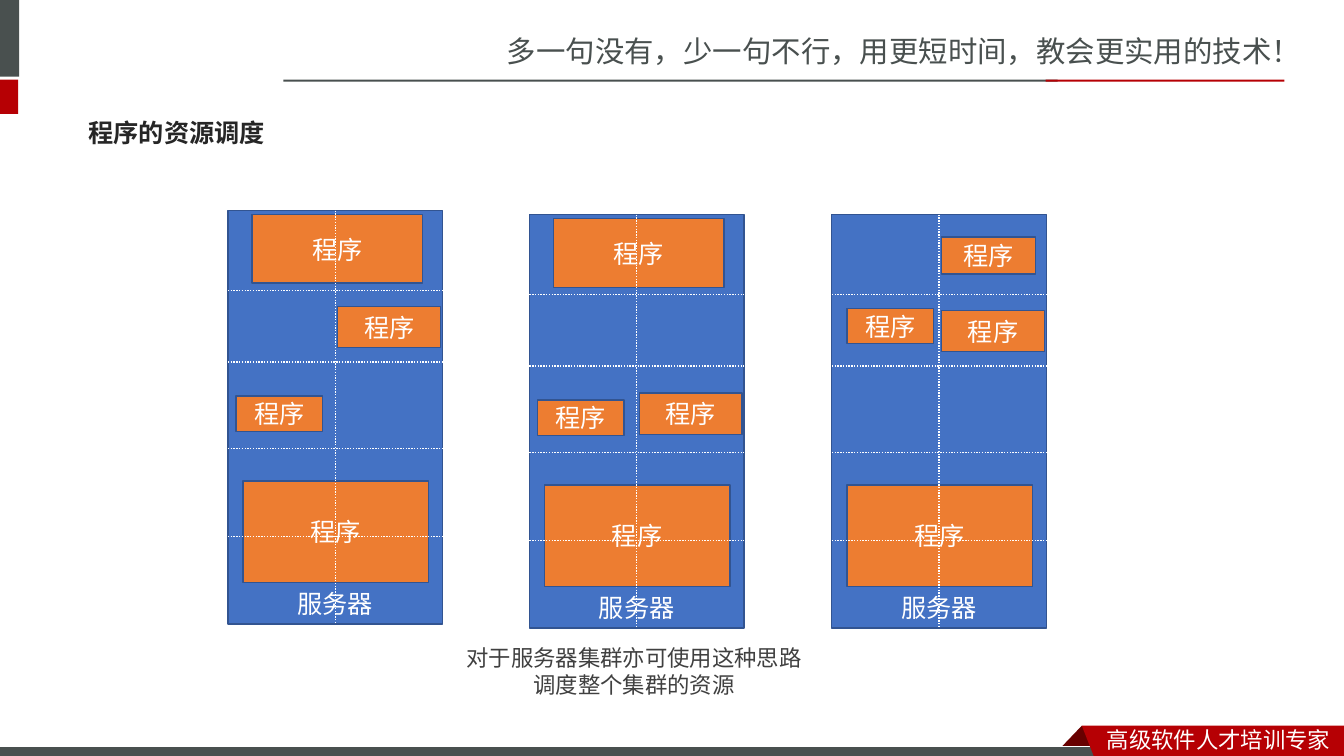
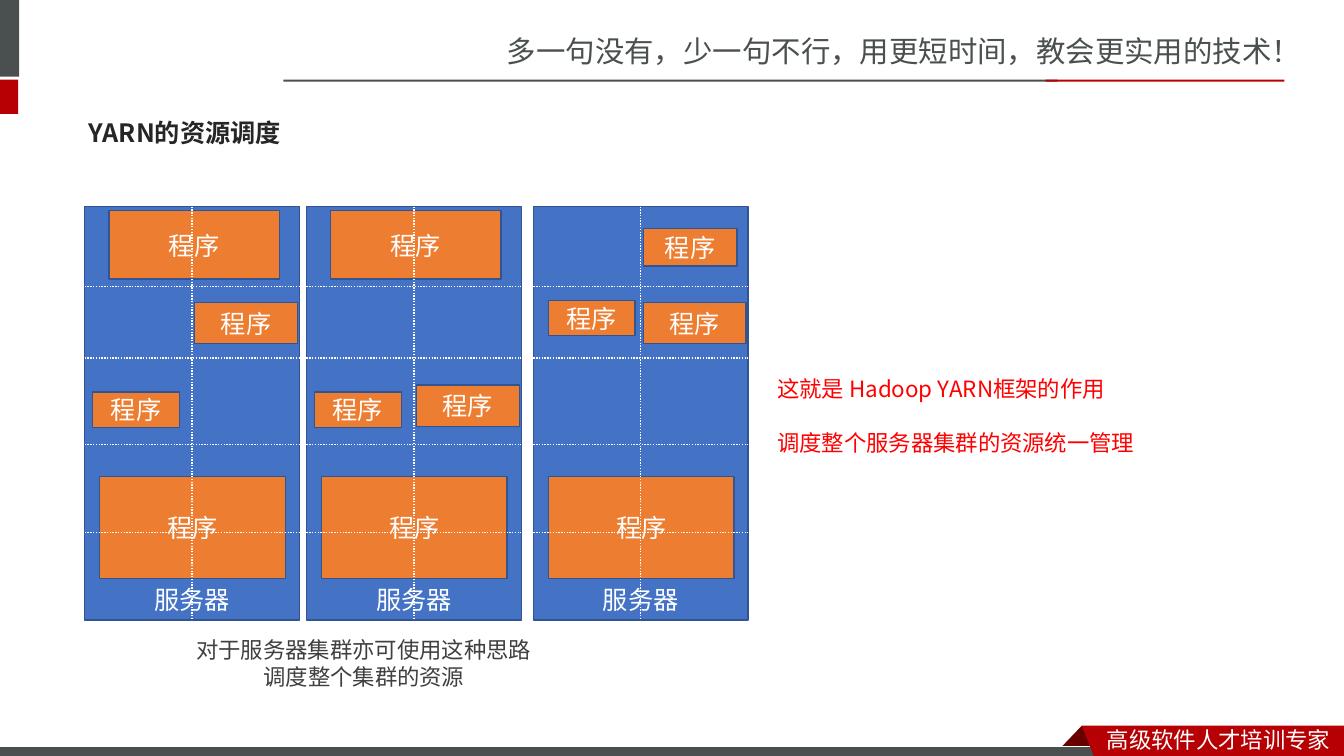
from lxml.etree import SubElement
from pptx import Presentation
from pptx.dml.color import RGBColor
from pptx.enum.dml import MSO_LINE
from pptx.enum.shapes import MSO_CONNECTOR, MSO_SHAPE
from pptx.enum.text import MSO_ANCHOR as ANCHOR, PP_ALIGN as ALIGN
from pptx.oxml.ns import qn
from pptx.util import Inches, Pt

SC, JP = "Noto Sans CJK SC", "Noto Sans CJK JP"
GRAY, RED, DARK_RED, WHITE = "49504F", "B60004", "680000", "FFFFFF"
BLUE, ORANGE, OUTLINE = "4472C4", "ED7D31", "325491"
TITLE, BODY, ACCENT = "262626", "404040", "FF0000"

SERVER_W, SERVER_H = 2.13, 4.1
ROW_LINES = (0.79, 1.5, 2.36, 3.23)

# Program boxes, relative to the server's top left corner
TOP = (0.24, 0.04, 1.69, 0.68)
BOTTOM = (0.15, 2.68, 1.84, 1.01)
PROGRAMS = (
    (TOP, (1.09, 0.95, 1.02, 0.41), (0.08, 1.84, 0.86, 0.35), BOTTOM),
    (TOP, (1.09, 1.77, 1.02, 0.41), (0.08, 1.84, 0.86, 0.35), BOTTOM),
    ((1.09, 0.22, 0.93, 0.37), (1.09, 0.95, 1.02, 0.41),
     (0.15, 0.93, 0.86, 0.35), BOTTOM),
)


def rgb(color):
    return RGBColor.from_string(color)


def write(shape, lines, size, color, font=SC, bold=False, align=ALIGN.LEFT,
          anchor=ANCHOR.MIDDLE, gap=0):
    """Fill the shape with one paragraph per line, gap points apart."""
    tf = shape.text_frame
    tf.word_wrap = True
    tf.vertical_anchor = anchor
    for i, line in enumerate(lines):
        p = tf.add_paragraph() if i else tf.paragraphs[0]
        p.text = line
        p.alignment = align
        p.line_spacing = Pt(size * 1.2)
        if i and gap:
            p.space_before = Pt(gap)
        p.font.size = Pt(size)
        p.font.bold = bold
        p.font.color.rgb = rgb(color)
        p.font.name = font
        # East Asian text takes its typeface from a:ea
        SubElement(p._p.pPr.find(qn("a:defRPr")), qn("a:ea"), typeface=font)


def add_text(s, box, lines, size, color, **style):
    write(s.shapes.add_textbox(*map(Inches, box)), lines, size, color, **style)


def paint(shape, fill, line=None, width=1):
    shape.shadow.inherit = False
    shape.fill.solid()
    shape.fill.fore_color.rgb = rgb(fill)
    if line:
        shape.line.color.rgb = rgb(line)
        shape.line.width = Pt(width)
    else:
        shape.line.fill.background()
    return shape


def add_rect(s, box, fill, line=None, width=1):
    rect = s.shapes.add_shape(MSO_SHAPE.RECTANGLE, *map(Inches, box))
    return paint(rect, fill, line, width)


def add_polygon(s, points, fill):
    start, *rest = [(Inches(x), Inches(y)) for x, y in points]
    builder = s.shapes.build_freeform(*start)
    builder.add_line_segments(rest)
    paint(builder.convert_to_shape(), fill)


def add_dotted(s, x1, y1, x2, y2):
    line = s.shapes.add_connector(MSO_CONNECTOR.STRAIGHT,
                                  *map(Inches, (x1, y1, x2, y2)))
    line.line.color.rgb = rgb(WHITE)
    line.line.width = Pt(1)
    line.line.dash_style = MSO_LINE.ROUND_DOT
    SubElement(line._element.spPr, qn("a:effectLst"))
    return line


def add_header(s):
    add_text(s, (4.93, 0.28, 8.4, 0.45),
             ["多一句没有，少一句不行，用更短时间，教会更实用的技术！"], 21, GRAY)
    add_rect(s, (-0.06, 0, 0.25, 0.76), GRAY)
    add_rect(s, (-0.06, 0.79, 0.24, 0.34), RED)
    add_rect(s, (2.81, 0.79, 7.68, 0.02), GRAY)
    add_rect(s, (10.37, 0.79, 2.37, 0.02), RED)


def add_footer(s):
    add_polygon(s, [(10.73, 7.2), (10.95, 7.43), (10.51, 7.43)], DARK_RED)
    add_rect(s, (-0.01, 7.41, 11, 0.12), GRAY, WHITE, 0.75)
    add_polygon(s, [(10.73, 7.2), (13.33, 7.2), (13.33, 7.54), (10.86, 7.53)],
                RED)
    add_text(s, (10.88, 7.15, 2.45, 0.37), ["高级软件人才培训专家"], 16, WHITE)


def add_base_slide(prs, title):
    """Add a slide with the header, footer and title that all slides share."""
    s = prs.slides.add_slide(prs.slide_layouts[6])
    add_header(s)
    add_footer(s)
    add_text(s, (0.78, 1.03, 11.7, 0.57), [title], 18, TITLE, font=JP,
             bold=True)
    return s


def add_server(s, x, y, programs):
    """Draw a server with its programs and a dotted grid over them."""
    server = add_rect(s, (x, y, SERVER_W, SERVER_H), BLUE, OUTLINE)
    write(server, ["服务器"], 18, WHITE, align=ALIGN.CENTER,
          anchor=ANCHOR.BOTTOM)
    for dx, dy, w, h in programs:
        program = add_rect(s, (x + dx, y + dy, w, h), ORANGE, OUTLINE)
        write(program, ["程序"], 18, WHITE, align=ALIGN.CENTER)
    for dy in ROW_LINES:
        add_dotted(s, x, y + dy, x + SERVER_W, y + dy)
    middle = x + SERVER_W / 2
    divider = add_dotted(s, middle, y, middle, y + SERVER_H)
    divider.begin_connect(server, 0)
    divider.end_connect(server, 2)


def add_cluster(s, origins, caption_x):
    """Draw one server at each origin, and the caption below them."""
    for (x, y), programs in zip(origins, PROGRAMS):
        add_server(s, x, y, programs)
    bottom = origins[-1][1] + SERVER_H
    add_text(s, (caption_x, bottom + 0.11, 4.44, 0.64),
             ["对于服务器集群亦可使用这种思路", "调度整个集群的资源"], 16, BODY,
             font=JP, align=ALIGN.CENTER, anchor=ANCHOR.TOP)


def main():
    prs = Presentation()
    prs.slide_width, prs.slide_height = Inches(13.33), Inches(7.5)

    s = add_base_slide(prs, "程序的资源调度")
    add_cluster(s, [(2.26, 2.09), (5.25, 2.13), (8.25, 2.13)], 4.07)

    s = add_base_slide(prs, "YARN的资源调度")
    add_cluster(s, [(0.84, 2.05), (3.04, 2.05), (5.29, 2.05)], 1.39)
    add_text(s, (7.61, 3.67, 4.44, 0.91),
             ["这就是 Hadoop YARN框架的作用", "调度整个服务器集群的资源统一管理"],
             16, ACCENT, font=JP, anchor=ANCHOR.TOP, gap=19.2)

    prs.save("out.pptx")


if __name__ == "__main__":
    main()
